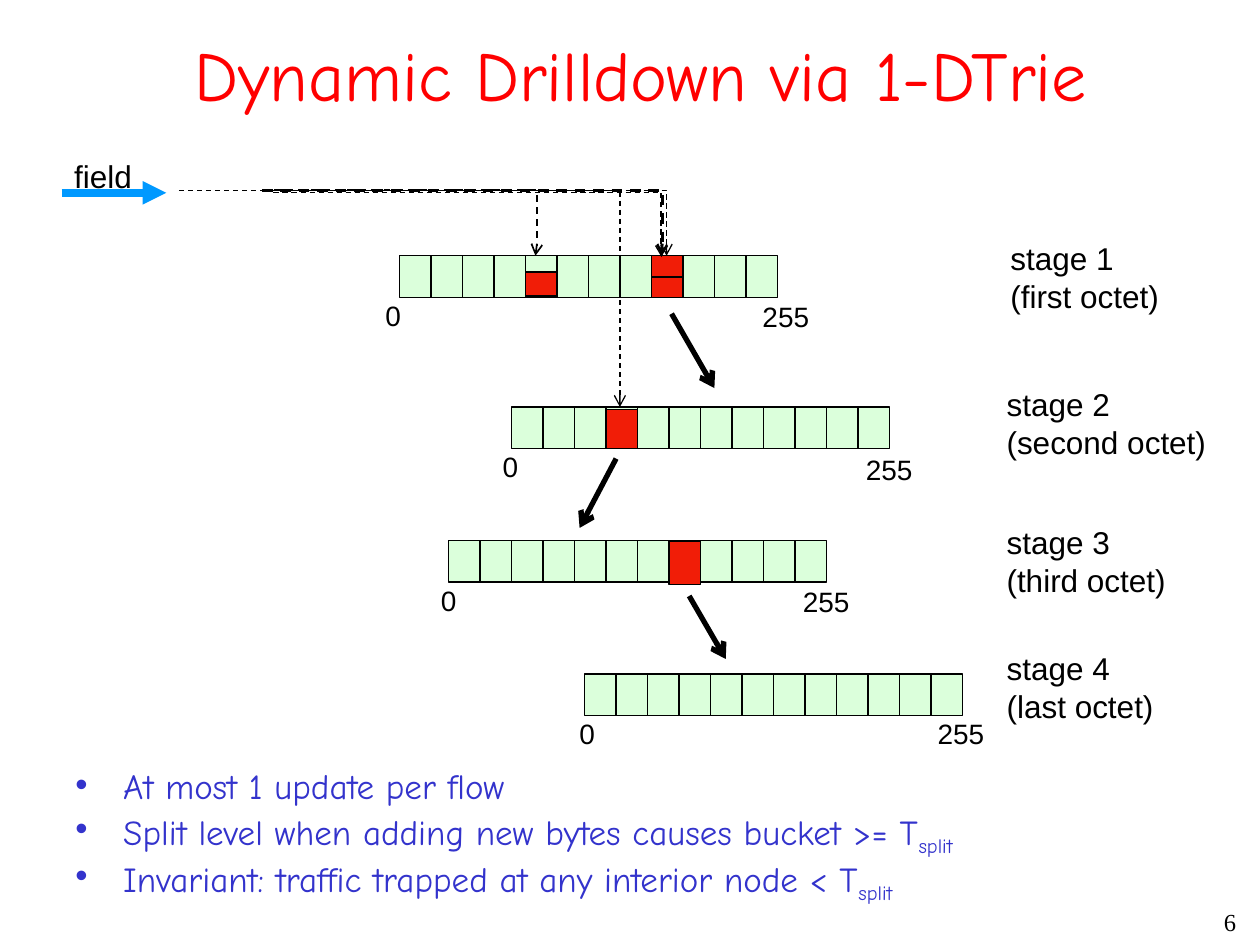
from lxml.etree import SubElement
from pptx import Presentation
from pptx.dml.color import RGBColor
from pptx.enum.dml import MSO_LINE_DASH_STYLE as Dash
from pptx.enum.shapes import MSO_CONNECTOR as Connector, MSO_SHAPE as Shape
from pptx.enum.text import MSO_ANCHOR as Anchor, PP_ALIGN as Align
from pptx.oxml.ns import qn
from pptx.util import Inches, Pt

COLUMNS, ROWS = 10, 7.5
CELL, CELLS, BAR = 0.25, 12, 0.33
COLORS = {"title": "FF0000", "body": "3333CC", "ink": "000000",
          "bucket": "DBFFDB", "hot": "F11D07", "input": "0099FF"}


def write(paragraph, pieces, size=18, font="Arial", color="ink", align=Align.LEFT):
    paragraph.alignment = align
    for position, piece in enumerate(pieces.split("_")):
        for line, words in enumerate(piece.split("\n")):
            if line:
                paragraph.add_line_break()
            run = paragraph.add_run()
            run.text = words
            run.font.size, run.font.name = Pt(size), font
            run.font.color.rgb = RGBColor.from_string(COLORS[color])
            if position:
                run._r.get_or_add_rPr().set("baseline", "-25000")


class TrieSlide:
    def __init__(self, deck):
        self.slide = deck.slides.add_slide(deck.slide_layouts[6])
        self.shapes = self.slide.shapes
        self.column = deck.slide_width / COLUMNS
        self.row = deck.slide_height / ROWS

    def place(self, *lengths):
        return [round(length * (self.row if index % 2 else self.column))
                for index, length in enumerate(lengths)]

    def text(self, words, *box, wrap=True, anchor=Anchor.TOP, **style):
        frame = self.shapes.add_textbox(*self.place(*box)).text_frame
        frame.word_wrap, frame.vertical_anchor = wrap, anchor
        write(frame.paragraphs[0], words, **style)

    def bullets(self, items, *box, **style):
        frame = self.shapes.add_textbox(*self.place(*box)).text_frame
        frame.word_wrap = True
        for index, item in enumerate(items):
            paragraph = frame.add_paragraph() if index else frame.paragraphs[0]
            paragraph.line_spacing = 0.8
            paragraph.space_before = Pt(5 if index else 0)
            properties = paragraph._p.get_or_add_pPr()
            properties.set("marL", str(Inches(0.38)))
            properties.set("indent", str(-Inches(0.38)))
            SubElement(properties, qn("a:buFont"), typeface="Arial")
            SubElement(properties, qn("a:buChar"), char="•")
            write(paragraph, item, **style)

    def rectangle(self, *box, fill):
        rectangle = self.shapes.add_shape(Shape.RECTANGLE, *self.place(*box))
        rectangle.shadow.inherit = False
        rectangle.fill.solid()
        rectangle.fill.fore_color.rgb = RGBColor.from_string(COLORS[fill])
        rectangle.line.color.rgb = RGBColor.from_string(COLORS["ink"])
        rectangle.line.width = Pt(0.75)
        return rectangle

    def line(self, *ends, width=0.75, color="ink", head=None, dashed=False,
             kind=Connector.STRAIGHT):
        line = self.shapes.add_connector(kind, *self.place(*ends))
        line.line.color.rgb = RGBColor.from_string(COLORS[color])
        line.line.width = Pt(width)
        if dashed:
            line.line.dash_style = Dash.DASH
        if head:
            SubElement(line.line._get_or_add_ln(), qn("a:tailEnd"), type=head)
        SubElement(line._element.spPr, qn("a:effectLst"))
        return line

    def route(self, *ends, width=0.75, bend=None):
        route = self.line(*ends, width=width, head="arrow", dashed=True,
                          kind=Connector.ELBOW)
        geometry = route._element.spPr.find(qn("a:prstGeom"))
        if bend is None:
            geometry.set("prst", "bentConnector2")
        else:
            SubElement(geometry.find(qn("a:avLst")), qn("a:gd"), name="adj1",
                       fmla=f"val {round(bend * 100000)}")

    def buckets(self, left, top):
        bar = self.rectangle(left, top, CELL * CELLS, BAR, fill="bucket")
        for cell in range(1, CELLS):
            x = left + cell * CELL
            divider = self.line(x, top, x, top + BAR)
            if cell == CELLS / 2:
                divider.begin_connect(bar, 0)
                divider.end_connect(bar, 2)


STAGES = [
    ("stage 1\n(first octet)", 3.17, 2.03, (7.92, 1.85), (2.96, 2.32), (5.95, 2.33)),
    ("stage 2\n(second octet)", 4.06, 3.23, (7.89, 3.01), (3.89, 3.52), (6.77, 3.54)),
    ("stage 3\n(third octet)", 3.56, 4.29, (7.89, 4.1), (3.4, 4.58), (6.27, 4.59)),
    ("stage 4\n(last octet)", 4.64, 5.35, (7.89, 5.1), (4.5, 5.64), (7.34, 5.64)),
]
HOT_BUCKETS = [(5.17, 2.19, 0.17), (4.17, 2.16, 0.19), (5.17, 2.03, 0.17),
               (4.81, 3.25, 0.31), (5.31, 4.3, 0.34)]
SPLITS = [(5.33, 2.49, 5.67, 3.08), (4.89, 3.64, 4.6, 4.19), (5.47, 4.73, 5.76, 5.23)]
UPDATES = [
    ((2.08, 1.51, 5.25, 2.03), 1.5, 1.002),
    ((2.08, 1.51, 4.25, 2.03), 1, 1.005),
    ((2.17, 1.53, 5.25, 2.04), 0.75, 0.999),
    ((2.17, 1.51, 5.29, 2.03), 0.75, None),
    ((1.42, 1.51, 4.92, 3.23), 0.75, None),
]
POINTS = [
    "At most 1 update per flow",
    "Split level when adding new bytes causes bucket >= T_split",
    "Invariant: traffic trapped at any interior node < T_split",
]


def main():
    deck = Presentation()
    deck.slide_width, deck.slide_height = Inches(COLUMNS), Inches(ROWS)
    trie = TrieSlide(deck)
    trie.text("Dynamic Drilldown via 1-DTrie", 0.75, 0.17, 8.67, 0.83, size=40,
              font="Comic Neue", color="title", align=Align.CENTER, anchor=Anchor.MIDDLE)
    trie.bullets(POINTS, 0.5, 6.08, 9, 1.22, size=20, font="Comic Neue", color="body")
    for caption, left, top, caption_at, first_at, last_at in STAGES:
        trie.buckets(left, top)
        trie.text(caption, *caption_at, 1.92, 0.7)
        for index, at, width in (("0", first_at, 0.32), ("255", last_at, 0.57)):
            trie.text(index, *at, width, 0.37, wrap=False, size=16, align=Align.RIGHT)
    for split in SPLITS:
        trie.line(*split, width=3, head="arrow")
    trie.line(0.49, 1.53, 1.32, 1.53, width=4.5, color="input", head="triangle")
    trie.text("field", 0.49, 1.2, 0.66, 0.4, wrap=False)
    for left, top, height in HOT_BUCKETS:
        trie.rectangle(left, top, CELL, height, fill="hot")
    for ends, width, bend in UPDATES:
        trie.route(*ends, width=width, bend=bend)
    trie.text("6", 7.58, 7.15, 2.33, 0.35, size=14, font="Times New Roman",
              align=Align.RIGHT)
    deck.save("out.pptx")


if __name__ == "__main__":
    main()
